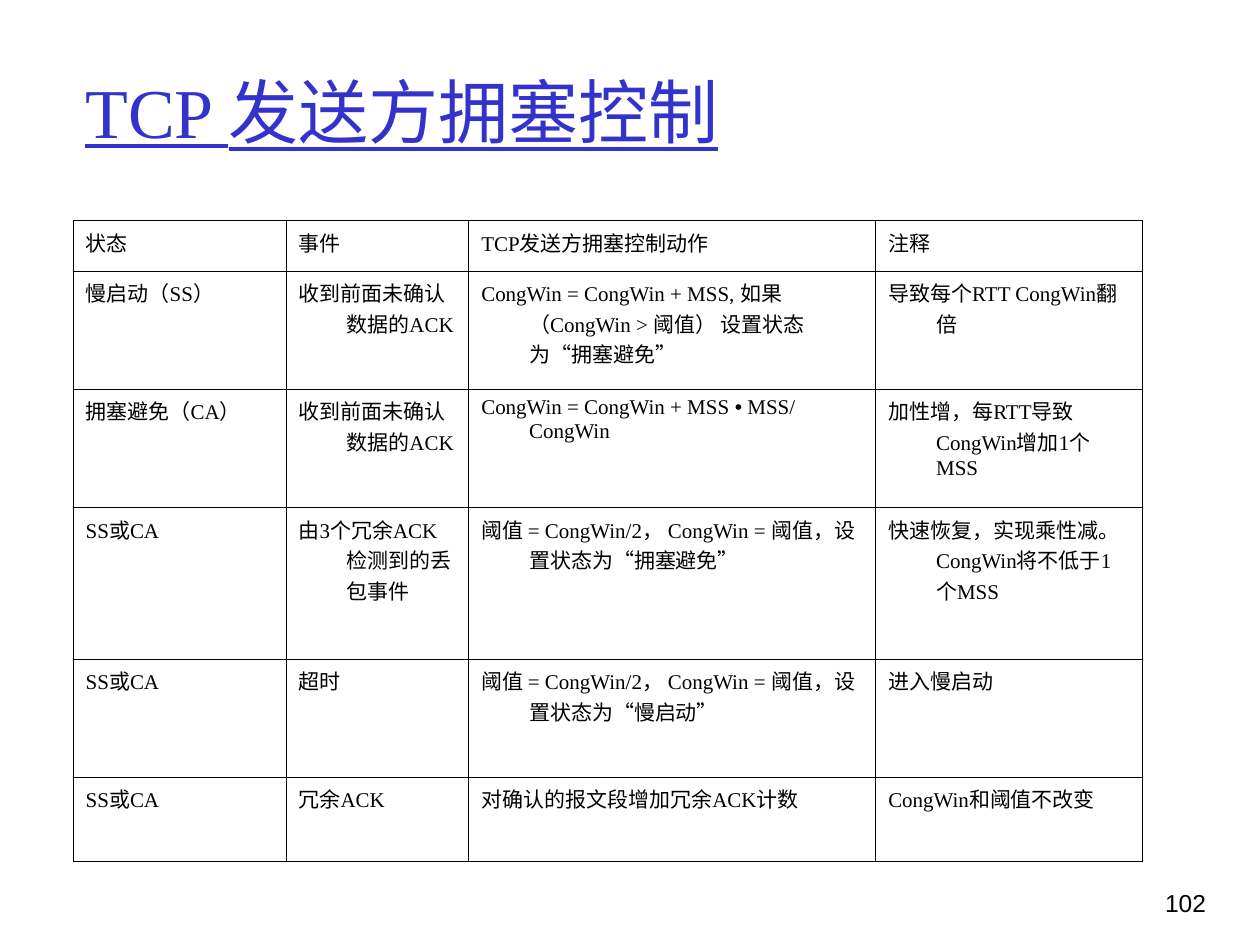
from lxml.etree import SubElement
from pptx import Presentation
from pptx.dml.color import RGBColor
from pptx.enum.text import MSO_ANCHOR as Anchor, PP_ALIGN as Align
from pptx.oxml.ns import qn
from pptx.util import Inches, Pt

SERIF, SANS = "Times New Roman", "Arial"
BLACK, BLUE = "000000", "3333CC"
BULLET = "•"

TITLE = "TCP 发送方拥塞控制"
PAGE_NUMBER = "102"
COLUMN_WIDTHS = [1.69, 1.45, 3.23, 2.12]
ROW_HEIGHTS = [0.4, 0.94, 0.94, 1.2, 0.94, 0.67]
ROWS = [
    ("状态", "事件", "TCP发送方拥塞控制动作", "注释"),
    ("慢启动（SS）", "收到前面未确认数据的ACK",
     "CongWin = CongWin + MSS, 如果（CongWin > 阈值） 设置状态为“拥塞避免”",
     "导致每个RTT CongWin翻倍"),
    ("拥塞避免（CA）", "收到前面未确认数据的ACK",
     "CongWin = CongWin + MSS • MSS/ CongWin",
     "加性增，每RTT导致CongWin增加1个MSS"),
    ("SS或CA", "由3个冗余ACK检测到的丢包事件",
     "阈值 = CongWin/2， CongWin = 阈值，设置状态为“拥塞避免”",
     "快速恢复，实现乘性减。CongWin将不低于1个MSS"),
    ("SS或CA", "超时",
     "阈值 = CongWin/2， CongWin = 阈值，设置状态为“慢启动”", "进入慢启动"),
    ("SS或CA", "冗余ACK", "对确认的报文段增加冗余ACK计数", "CongWin和阈值不改变"),
]


def color(value):
    return RGBColor.from_string(value)


def style(font, name, size, ink):
    font.name = name
    font.size = Pt(size)
    font.color.rgb = color(ink)


def add_text(page, text, place, name, size, ink, anchor, align):
    box = page.shapes.add_textbox(*map(Inches, place))
    frame = box.text_frame
    frame.word_wrap = True
    frame.vertical_anchor = anchor
    para = frame.paragraphs[0]
    para.text = text
    para.alignment = align
    style(para.font, name, size, ink)
    return para


def add_borders(cell):
    properties = cell._tc.get_or_add_tcPr()
    for side in ("a:lnL", "a:lnR", "a:lnT", "a:lnB"):
        line = SubElement(properties, qn(side), w=str(Pt(0.45)))
        fill = SubElement(line, qn("a:solidFill"))
        SubElement(fill, qn("a:srgbClr"), val=BLACK)


def fill_cell(cell, text):
    add_borders(cell)
    cell.fill.background()
    para = cell.text_frame.paragraphs[0]
    style(para.font, SERIF, 12, BLACK)
    indent = Inches(0.38)
    properties = para._p.get_or_add_pPr()
    properties.set("marL", str(indent))
    properties.set("indent", str(-indent))
    for part in filter(None, text.partition(BULLET)):
        span = para.add_run()
        span.text = part
        if part == BULLET:
            span.font.name = SANS


def add_grid(page):
    frame = page.shapes.add_table(len(ROWS), len(COLUMN_WIDTHS), Inches(0.58),
                                  Inches(1.75), Inches(sum(COLUMN_WIDTHS)),
                                  Inches(sum(ROW_HEIGHTS)))
    table = frame.table
    table.first_row = table.horz_banding = False
    for column, width in zip(table.columns, COLUMN_WIDTHS):
        column.width = Inches(width)
    for row, height, texts in zip(table.rows, ROW_HEIGHTS, ROWS):
        row.height = Inches(height)
        for cell, text in zip(row.cells, texts):
            fill_cell(cell, text)


def main():
    deck = Presentation()
    deck.slide_width, deck.slide_height = Inches(10), Inches(7.5)
    page = deck.slides.add_slide(deck.slide_layouts[6])
    title = add_text(page, TITLE, (0.58, 0.25, 8.5, 1.25), SERIF, 40, BLUE,
                     Anchor.MIDDLE, Align.LEFT)
    title.font.underline = True
    add_grid(page)
    add_text(page, PAGE_NUMBER, (8.93, 7, 0.74, 0.5), SANS, 14, BLACK,
             Anchor.TOP, Align.RIGHT)
    deck.save("out.pptx")


if __name__ == "__main__":
    main()
